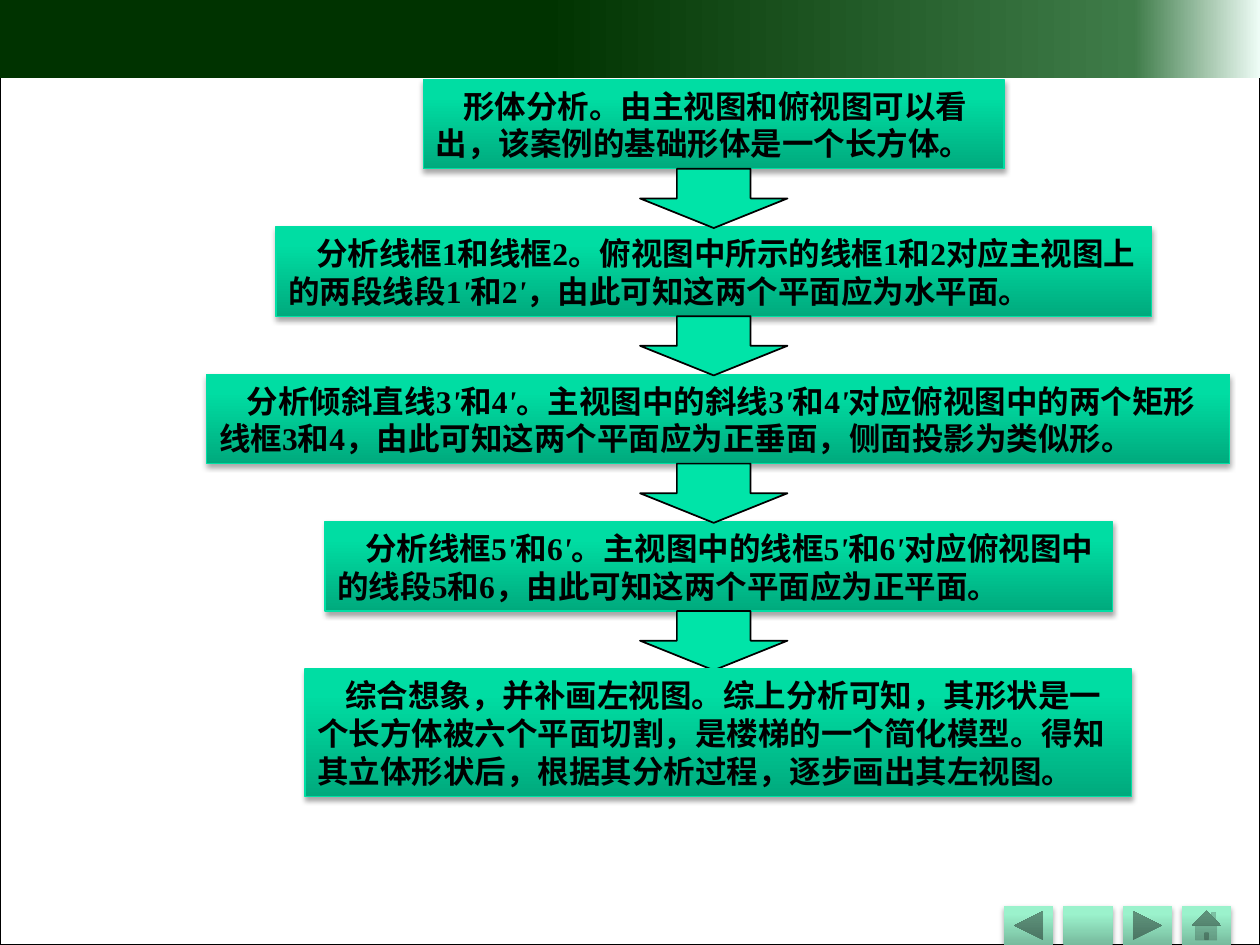
import copy
from dataclasses import dataclass

import lxml.etree
import pptx
import pptx.dml.color
import pptx.enum.shapes
import pptx.enum.text
import pptx.oxml.ns
import pptx.util

Inches = pptx.util.Inches
Pt = pptx.util.Pt
Preset = pptx.enum.shapes.MSO_SHAPE
qn = pptx.oxml.ns.qn

FIRST_TOP = 0.63
STEP_PITCH = 1.17
STEP_HEIGHT = 0.71
ARROW_LEFT, ARROW_WIDTH, ARROW_HEIGHT = 5.08, 1.17, 0.47
BUTTON_LEFT, BUTTON_PITCH = 7.97, 0.47

HEADER_STOPS = [(0.43, "003300"), (0.9, "3F7C49"), (1, "EEFCF6")]
STEP_STOPS = [(0, "00AA7D"), (0.8, "00DDA3"), (1, "00DEA4")]
BUTTON_STOPS = [(0, "77BA9D"), (0.8, "9BF2CC"), (1, "9AF4CD")]

FRAME_FORMAT = {
    "word_wrap": True,
    "vertical_anchor": pptx.enum.text.MSO_ANCHOR.TOP,
    "margin_top": Inches(0.06),
}
PARAGRAPH_FORMAT = {
    "alignment": pptx.enum.text.PP_ALIGN.LEFT,
    "line_spacing": Pt(21.5),
}
FONT_FORMAT = {"name": "Times New Roman", "size": Pt(18), "bold": True}


@dataclass
class Step:
    left: float
    width: float
    text: str
    height: float = STEP_HEIGHT


STEPS = [
    Step(3.36, 4.61, "形体分析。由主视图和俯视图可以看出，该案例的基础形体是一个长方体。"),
    Step(2.19, 6.95, "分析线框1和线框2。俯视图中所示的线框1和2对应主视图上的两段线段1'和2'，"
                     "由此可知这两个平面应为水平面。"),
    Step(1.64, 8.12, "分析倾斜直线3'和4'。主视图中的斜线3'和4'对应俯视图中的两个矩形线框3和4，"
                     "由此可知这两个平面应为正垂面，侧面投影为类似形。"),
    Step(2.58, 6.25, "分析线框5'和6'。主视图中的线框5'和6'对应俯视图中的线段5和6，"
                     "由此可知这两个平面应为正平面。"),
    Step(2.42, 6.56, "综合想象，并补画左视图。综上分析可知，其形状是一个长方体被六个平面切割，"
                     "是楼梯的一个简化模型。得知其立体形状后，根据其分析过程，逐步画出其左视图。", 1.01),
]
BUTTONS = [
    Preset.ACTION_BUTTON_BACK_OR_PREVIOUS,
    Preset.ACTION_BUTTON_CUSTOM,
    Preset.ACTION_BUTTON_FORWARD_OR_NEXT,
    Preset.ACTION_BUTTON_HOME,
]


def rgb(code: str) -> pptx.dml.color.RGBColor:
    return pptx.dml.color.RGBColor.from_string(code)


def apply_format(target, values: dict) -> None:
    for attribute, value in values.items():
        setattr(target, attribute, value)


def add_preset(slide, preset, left: float, top: float, width: float, height: float,
               line: str = "", line_width: float = 0.75):
    shape = slide.shapes.add_shape(
        preset, Inches(left), Inches(top), Inches(width), Inches(height))
    shape.shadow.inherit = False
    if line:
        shape.line.color.rgb = rgb(line)
        shape.line.width = Pt(line_width)
    else:
        shape.line.fill.background()
    return shape


def fill_gradient(shape, stops: list, angle: float) -> None:
    shape.fill.gradient()
    shape.fill.gradient_angle = angle
    stop_list = shape._element.spPr.find(".//" + qn("a:gsLst"))
    stop_list.append(copy.deepcopy(stop_list[-1]))
    for stop, (position, color) in zip(shape.fill.gradient_stops, stops):
        stop.position = position
        stop.color.rgb = rgb(color)


def cast_shadow(shape) -> None:
    effects = shape._element.spPr.find(qn("a:effectLst"))
    shadow = lxml.etree.SubElement(
        effects, qn("a:outerShdw"), blurRad=str(Pt(3.1)), dist=str(Pt(1.8)),
        dir="5400000", rotWithShape="0")
    color = lxml.etree.SubElement(shadow, qn("a:srgbClr"), val="000000")
    lxml.etree.SubElement(color, qn("a:alpha"), val="35000")


def add_run(paragraph, text: str, italic: bool) -> None:
    run = paragraph.add_run()
    run.text = text
    apply_format(run.font, {**FONT_FORMAT, "italic": italic})
    run.font.color.rgb = rgb("000000")
    lxml.etree.SubElement(
        run._r.get_or_add_rPr(), qn("a:ea"), typeface="Noto Sans CJK SC")


def add_step(slide, step: Step, top: float) -> None:
    box = add_preset(slide, Preset.RECTANGLE, step.left, top, step.width, step.height, "00DFA4")
    fill_gradient(box, STEP_STOPS, 90)
    cast_shadow(box)
    apply_format(box.text_frame, FRAME_FORMAT)
    paragraph = box.text_frame.paragraphs[0]
    apply_format(paragraph, PARAGRAPH_FORMAT)
    paragraph._p.get_or_add_pPr().set("indent", str(Inches(0.22)))
    for index, part in enumerate(step.text.split("'")):
        if index:
            add_run(paragraph, "'", True)
        add_run(paragraph, part, False)


def add_arrow(slide, top: float) -> None:
    arrow = add_preset(slide, Preset.DOWN_ARROW, ARROW_LEFT, top,
                       ARROW_WIDTH, ARROW_HEIGHT, "000000", 1)
    arrow.fill.solid()
    arrow.fill.fore_color.rgb = rgb("00E4A8")


def add_button(slide, preset, left: float) -> None:
    button = add_preset(slide, preset, left, 7.19, 0.39, 0.31)
    fill_gradient(button, BUTTON_STOPS, 90)
    cast_shadow(button)


def main() -> None:
    deck = pptx.Presentation()
    deck.slide_width, deck.slide_height = Inches(10), Inches(7.5)
    slide = deck.slides.add_slide(deck.slide_layouts[6])

    border = add_preset(slide, Preset.RECTANGLE, 0, 0, 10, 7.5, "000000")
    border.fill.background()
    header = add_preset(slide, Preset.RECTANGLE, 0, -0.02, 10, 0.64)
    fill_gradient(header, HEADER_STOPS, 0)

    tops = [FIRST_TOP + STEP_PITCH * index for index in range(len(STEPS))]
    for step, top in zip(STEPS[:-1], tops):
        add_step(slide, step, top)
    for top in tops[:-1]:
        add_arrow(slide, top + STEP_HEIGHT)
    add_step(slide, STEPS[-1], tops[-1])

    for index, preset in enumerate(BUTTONS):
        add_button(slide, preset, BUTTON_LEFT + BUTTON_PITCH * index)

    deck.save("out.pptx")


if __name__ == "__main__":
    main()
